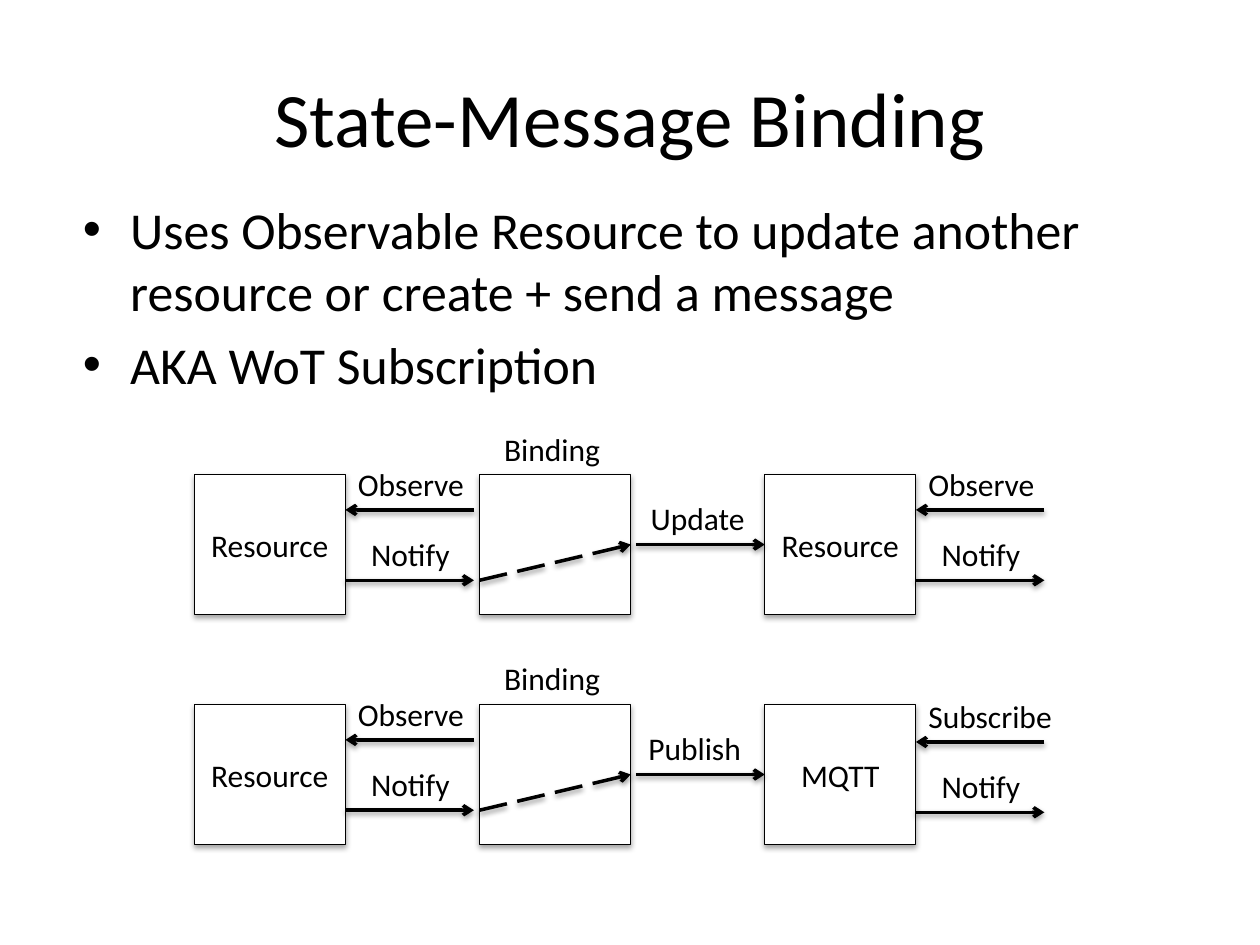
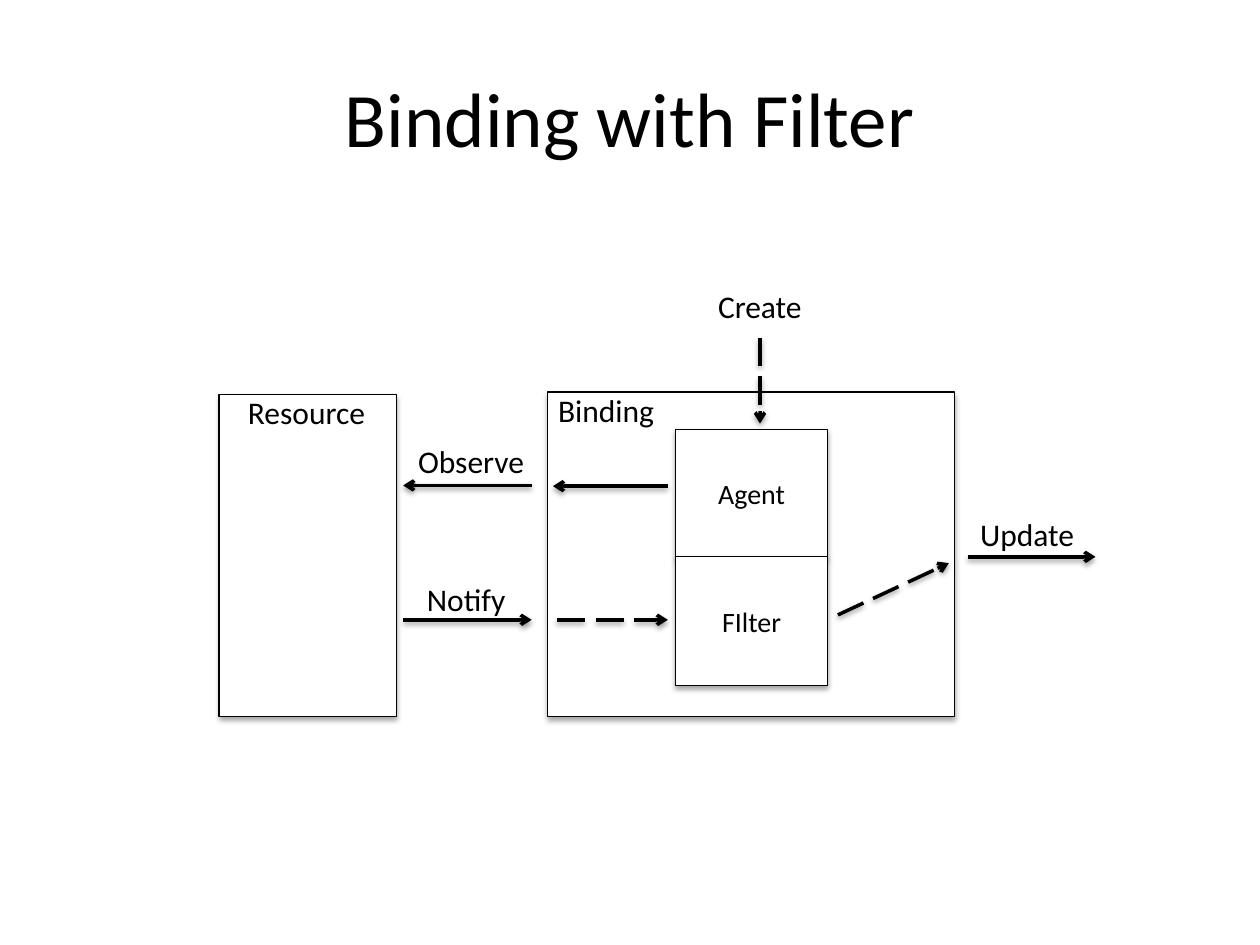
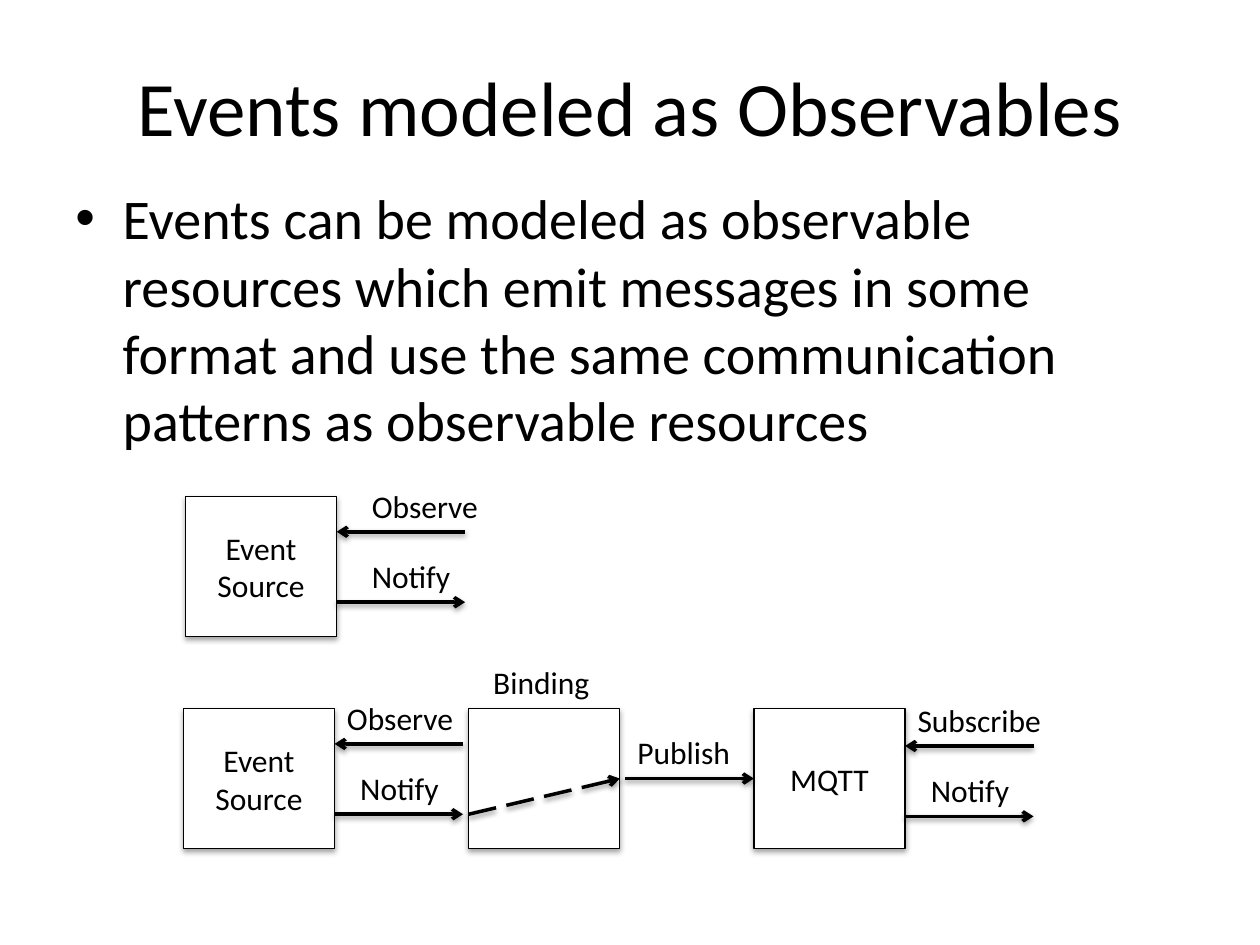
from dataclasses import dataclass
from typing import Optional

from lxml.etree import SubElement
from pptx import Presentation
from pptx.dml.color import RGBColor
from pptx.enum.dml import MSO_LINE
from pptx.enum.shapes import MSO_CONNECTOR, MSO_SHAPE
from pptx.enum.text import MSO_ANCHOR, PP_ALIGN
from pptx.oxml.ns import qn
from pptx.shapes.autoshape import Shape
from pptx.shapes.connector import Connector
from pptx.slide import Slide
from pptx.text.text import TextFrame
from pptx.util import Pt

HUES = {"ink": "000000", "paper": "FFFFFF"}
FONT = "Calibri"
WIDTHS = {
    "Observe": 75.6, "Notify": 59.8, "Binding": 69.8, "Update": 69.1,
    "Publish": 67.7, "Subscribe": 85.7, "Resource": 82.8, "Create": 63.4,
}
SIDE, TALL, STEP = 86.4, 80, 163
REACH, LIFT = 73.4, 29.3
UPPER, LOWER = 20.2, 60.4


@dataclass
class Box:
    left: float
    top: float
    width: float = SIDE
    height: float = TALL
    text: str = ""
    size: float = 18


@dataclass
class Label:
    text: str
    left: float
    top: float


@dataclass
class Arrow:
    left: float
    top: float
    right: float
    end: float
    dashed: bool = False


def hue(name: str) -> RGBColor:
    return RGBColor.from_string(HUES[name])


def write(frame: TextFrame, text: str, *, size: float = 18,
          align: PP_ALIGN = PP_ALIGN.LEFT, anchor: MSO_ANCHOR = MSO_ANCHOR.TOP,
          wrap: bool = True, bullet: bool = False) -> None:
    frame.word_wrap = wrap
    frame.vertical_anchor = anchor
    frame.text = text
    for para in frame.paragraphs:
        para.alignment = align
        para.font.size = Pt(size)
        para.font.name = FONT
        para.font.color.rgb = hue("ink")
        if bullet:
            para.space_before = Pt(size * 0.2)
            props = para._p.get_or_add_pPr()
            props.set("marL", str(Pt(27)))
            props.set("indent", str(-Pt(27)))
            font = SubElement(props, qn("a:buFont"))
            font.set("typeface", "Arial")
            SubElement(props, qn("a:buChar")).set("char", "•")
            props.append(props.find(qn("a:defRPr")))


def shade(item: Shape | Connector, drop: float, alpha: int) -> None:
    effects = SubElement(item._element.spPr, qn("a:effectLst"))
    shadow = SubElement(effects, qn("a:outerShdw"), blurRad=str(Pt(3.1)),
                        dist=str(Pt(drop)), dir="5400000", rotWithShape="0")
    color = SubElement(shadow, qn("a:srgbClr"), val=HUES["ink"])
    SubElement(color, qn("a:alpha"), val=str(alpha * 1000))


def draw_box(slide: Slide, box: Box) -> Shape:
    shape = slide.shapes.add_shape(MSO_SHAPE.RECTANGLE, Pt(box.left), Pt(box.top),
                                   Pt(box.width), Pt(box.height))
    shape.fill.solid()
    shape.fill.fore_color.rgb = hue("paper")
    shape.line.color.rgb = hue("ink")
    shape.line.width = Pt(0.75)
    shade(shape, 1.8, 35)
    if box.text:
        write(shape.text_frame, box.text, size=box.size,
              align=PP_ALIGN.CENTER, anchor=MSO_ANCHOR.MIDDLE)
    return shape


def draw_label(slide: Slide, label: Label) -> None:
    area = slide.shapes.add_textbox(Pt(label.left), Pt(label.top),
                                    Pt(WIDTHS[label.text]), Pt(29))
    write(area.text_frame, label.text, wrap=False)


def draw_arrow(slide: Slide, arrow: Arrow, goal: Optional[Shape] = None,
               site: int = 1) -> None:
    link = slide.shapes.add_connector(MSO_CONNECTOR.STRAIGHT, Pt(arrow.left), Pt(arrow.top),
                                      Pt(arrow.right), Pt(arrow.end))
    if goal is not None:
        link.end_connect(goal, site)
    link.line.color.rgb = hue("ink")
    link.line.width = Pt(2)
    if arrow.dashed:
        link.line.dash_style = MSO_LINE.LONG_DASH
    SubElement(link.line._ln, qn("a:tailEnd"), type="arrow")
    shade(link, 1.6, 38)


def draw_pair(slide: Slide, left: float, top: float, back: str,
              inset: float = 0, shift: float = 7.6) -> None:
    high, low = top + UPPER, top + LOWER
    draw_arrow(slide, Arrow(left, low, left + REACH, low))
    draw_arrow(slide, Arrow(left + REACH, high, left, high))
    draw_label(slide, Label(back, left + inset, high - LIFT))
    draw_label(slide, Label("Notify", left + shift, low - LIFT))


def draw_chain(slide: Slide, left: float, top: float, source: str, verb: str,
               target: str, back: str, sink: float = 0) -> None:
    draw_box(slide, Box(left, top, text=source))
    draw_pair(slide, left + SIDE, top, "Observe")
    final = draw_box(slide, Box(left + 2 * STEP, top, text=target))
    bind = draw_box(slide, Box(left + STEP, top))
    mid = top + TALL / 2
    start = left + STEP + SIDE + 3
    draw_arrow(slide, Arrow(start, mid, left + 2 * STEP, mid), final)
    draw_arrow(slide, Arrow(left + STEP, top + LOWER, left + STEP + SIDE, mid, True), bind, 3)
    draw_label(slide, Label("Binding", left + STEP + 7, top - LIFT))
    draw_label(slide, Label(verb, start + (1.4 if verb == "Update" else 0), mid - LIFT - 0.5))
    draw_pair(slide, left + 2 * STEP + SIDE, top + sink, back)


def add_title(slide: Slide, text: str, top: float = 21.6) -> None:
    area = slide.shapes.add_textbox(Pt(36), Pt(top), Pt(648), Pt(90))
    write(area.text_frame, text, size=44, align=PP_ALIGN.CENTER, anchor=MSO_ANCHOR.MIDDLE)


def add_body(slide: Slide, text: str, left: float, top: float, height: float,
             size: float) -> None:
    area = slide.shapes.add_textbox(Pt(left), Pt(top), Pt(648), Pt(height))
    write(area.text_frame, text, size=size, bullet=True)


def build_state(slide: Slide) -> None:
    add_title(slide, "State-Message Binding")
    add_body(slide, "Uses Observable Resource to update another resource or create + send a message\n"
             "AKA WoT Subscription", 40.3, 109.4, 114.5, 29.6)
    draw_chain(slide, 111, 271.2, "Resource", "Update", "Resource", "Observe")
    draw_chain(slide, 111, 402.6, "Resource", "Publish", "MQTT", "Subscribe", 1.2)


def build_filter(slide: Slide) -> None:
    add_title(slide, "Binding with Filter")
    boxes = [
        Box(313, 224, 232.6, 185.5),
        Box(386, 245.5, 87, 72.7, "Agent", 16),
        Box(386, 318.2, 87, 73.4, "FIlter", 16),
        Box(125.2, 225.3, 101.5, 184.2),
    ]
    arrows = [
        Arrow(303.8, 277.4, 230.4, 277.4),
        Arrow(230.4, 354.2, 303.8, 354.2),
        Arrow(318.2, 354.2, 381.6, 354.2, True),
        Arrow(478.8, 351.4, 542.2, 321.8, True),
        Arrow(434.3, 193, 434.3, 242, True),
        Arrow(381.6, 277.8, 316, 277.8),
        Arrow(553, 318.2, 626, 318.2),
    ]
    labels = [
        Label("Binding", 311.8, 219.6),
        Label("Observe", 231.8, 249),
        Label("Notify", 236.9, 327.6),
        Label("Resource", 134.6, 221),
        Label("Create", 403.2, 160.6),
        Label("Update", 553, 291),
    ]
    for box in boxes:
        draw_box(slide, box)
    for arrow in arrows:
        draw_arrow(slide, arrow)
    for label in labels:
        draw_label(slide, label)


def build_events(slide: Slide) -> None:
    add_title(slide, "Events modeled as Observables", 15.1)
    add_body(slide, "Events can be modeled as observable resources which emit messages in some "
             "format and use the same communication patterns as observable resources",
             36, 101.5, 169.2, 32)
    draw_box(slide, Box(106, 283.7, text="Event Source"))
    draw_pair(slide, 106 + SIDE, 283.7, "Observe", 13, 13)
    draw_chain(slide, 104.8, 404.9, "Event Source", "Publish", "MQTT", "Subscribe", 1.2)


def main() -> None:
    deck = Presentation()
    deck.slide_width, deck.slide_height = Pt(720), Pt(540)
    for build in (build_state, build_filter, build_events):
        build(deck.slides.add_slide(deck.slide_layouts[6]))
    deck.save("out.pptx")


if __name__ == "__main__":
    main()
